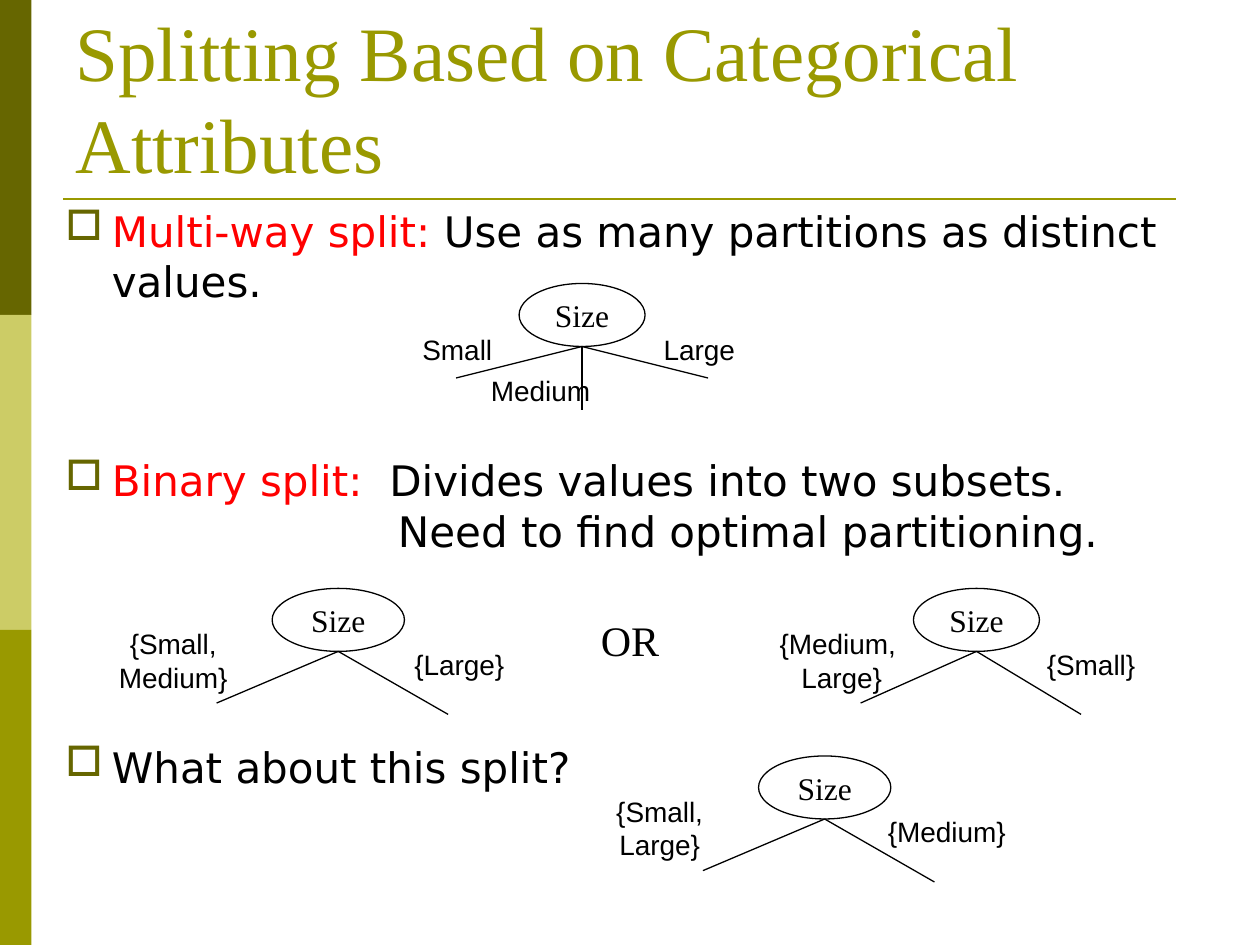
import pptx
import pptx.dml.color
import pptx.enum.shapes
import pptx.enum.text
import pptx.oxml.ns
import pptx.util
from lxml import etree
from pptx.util import Inches

COLORS = {
    "dark": "666600", "light": "CCCC66", "olive": "999900",
    "red": "FF0000", "black": "000000", "white": "FFFFFF",
}
SERIF, SANS, BODY = "Times New Roman", "Arial", "DejaVu Sans"
SYMBOLS, HOLLOW_SQUARE = "Wingdings", "o"
SHAPES = pptx.enum.shapes.MSO_SHAPE
ALIGN = pptx.enum.text.PP_ALIGN
ANCHOR = pptx.enum.text.MSO_ANCHOR


def rgb(name):
    return pptx.dml.color.RGBColor.from_string(COLORS[name])


def add_span(para, text, font, size, color):
    span = para.add_run()
    span.text = text
    span.font.name = font
    span.font.size = pptx.util.Pt(size)
    span.font.color.rgb = rgb(color)
    return span


def add_line(shapes, start, end, color="black", width=0.75):
    line = shapes.add_connector(
        pptx.enum.shapes.MSO_CONNECTOR.STRAIGHT,
        *(Inches(value) for value in (*start, *end)))
    line.line.color.rgb = rgb(color)
    line.line.width = pptx.util.Pt(width)
    etree.SubElement(line._element.spPr, pptx.oxml.ns.qn("a:effectLst"))


def add_filled(shapes, kind, box, fill):
    shape = shapes.add_shape(kind, *(Inches(value) for value in box))
    shape.shadow.inherit = False
    shape.fill.solid()
    shape.fill.fore_color.rgb = rgb(fill)
    return shape


def add_label(shapes, center, size, text, font=SANS, points=16):
    """Centre a text box of the given size on a point; newlines break lines."""
    (x, y), (width, height) = center, size
    box = shapes.add_textbox(Inches(x - width / 2), Inches(y - height / 2),
                             Inches(width), Inches(height))
    frame = box.text_frame
    frame.word_wrap = False
    frame.vertical_anchor = ANCHOR.MIDDLE
    para = frame.paragraphs[0]
    para.alignment = ALIGN.CENTER
    for index, part in enumerate(text.split("\n")):
        if index:
            para.add_line_break()
        add_span(para, part, font, points, "black")


def add_sidebar(slide, left, top, width, height):
    bands = ("dark", "light", "olive")
    step = height / len(bands)
    for index, color in enumerate(bands):
        band = add_filled(slide.shapes, SHAPES.RECTANGLE,
                          (left, top + index * step, width, step), color)
        band.line.fill.background()


def add_title(slide, left, top, width, height):
    title = slide.shapes.title
    title.left, title.top = Inches(left), Inches(top)
    title.width, title.height = Inches(width), Inches(height)
    frame = title.text_frame
    frame.auto_size = pptx.enum.text.MSO_AUTO_SIZE.NONE
    frame.vertical_anchor = ANCHOR.BOTTOM
    para = frame.paragraphs[0]
    para.alignment = ALIGN.LEFT
    add_span(para, "Splitting Based on Categorical Attributes", SERIF, 44, "olive")
    add_line(slide.shapes, (left, top + height + 0.03),
             (left + 8.83, top + height + 0.03), "olive", 1.5)


def set_indent(para, left, bulleted):
    props = para._p.get_or_add_pPr()
    props.set("marL", str(Inches(left)))
    if bulleted:
        qn = pptx.oxml.ns.qn
        props.set("indent", str(-Inches(left)))
        color = etree.SubElement(props, qn("a:buClr"))
        etree.SubElement(color, qn("a:srgbClr"), val=COLORS["dark"])
        etree.SubElement(props, qn("a:buFont"), typeface=SYMBOLS, charset="2")
        etree.SubElement(props, qn("a:buChar"), char=HOLLOW_SQUARE)


def add_body(slide, left, top, width, height):
    frame = slide.shapes.add_textbox(
        Inches(left), Inches(top), Inches(width), Inches(height)).text_frame
    frame.word_wrap = True
    # Space before, left indent, bulleted, coloured parts
    rows = [
        (0, 0.37, True, [("Multi-way split:", "red"),
                         (" Use as many partitions as distinct values.", "black")]),
        (85, 0.37, True, [("Binary split:", "red"), (" ", "black"),
                          ("Divides values into two subsets.", "black")]),
        (0, 2.64, False, [("Need to find optimal partitioning.", "black")]),
        (106, 0.37, True, [("What about this split?", "black")]),
    ]
    for index, (before, indent, bulleted, parts) in enumerate(rows):
        para = frame.add_paragraph() if index else frame.paragraphs[0]
        para.space_before = pptx.util.Pt(before)
        set_indent(para, indent, bulleted)
        for text, color in parts:
            span = add_span(para, text, BODY, 24, color)
            if text == " ":  # widen the gap after the heading
                span._r.get_or_add_rPr().set("spc", "760")


def add_tree(slide, left, top, width, ends, labels):
    """Draw a Size node with branches and labels placed from its lower middle."""
    shapes = slide.shapes.add_group_shape().shapes
    height = 0.5
    node = add_filled(shapes, SHAPES.OVAL, (left, top, width, height), "white")
    node.line.color.rgb = rgb("black")
    node.line.width = pptx.util.Pt(0.75)
    node.text_frame.vertical_anchor = ANCHOR.MIDDLE
    para = node.text_frame.paragraphs[0]
    para.alignment = ALIGN.CENTER
    add_span(para, "Size", SERIF, 18, "black")
    x, y = left + width / 2, top + height
    for dx, dy in ends:
        add_line(shapes, (x, y), (x + dx, y + dy))
    for text, dx, dy, label_width in labels:
        label_height = 0.64 if "\n" in text else 0.37
        add_label(shapes, (x + dx, y + dy), (label_width, label_height), text)


def add_binary_tree(slide, left, top, width, first, second):
    """Each label is its text, offset from the node's middle, and width."""
    ends = [(-0.92 * width, 0.41), (0.83 * width, 0.5)]
    labels = [(first[0], first[1], 0.07, first[2]),
              (second[0], second[1], 0.1, second[2])]
    add_tree(slide, left, top, width, ends, labels)


def main():
    deck = pptx.Presentation()
    deck.slide_width, deck.slide_height = Inches(10), Inches(7.5)
    slide = deck.slides.add_slide(deck.slide_layouts[5])
    add_sidebar(slide, 0, 0, 0.25, 7.5)
    add_body(slide, 0.42, 1.58, 9.17, 5.75)
    add_title(slide, 0.5, 0.3, 9, 1.25)
    add_tree(slide, 4.12, 2.25, 1, [(-1, 0.25), (0, 0.5), (1, 0.25)],
             [("Small", -0.99, 0.02, 0.76), ("Medium", -0.33, 0.35, 0.99),
              ("Large", 0.93, 0.02, 0.77)])
    add_binary_tree(slide, 7.25, 4.67, 1,
                    ("{Medium, \nLarge}", -1.07, 1.19), ("{Small}", 0.91, 0.9))
    add_binary_tree(slide, 2.16, 4.67, 1.05,
                    ("{Small,\nMedium}", -1.31, 1.09), ("{Large}", 0.96, 0.92))
    add_label(slide.shapes, (5, 5.08), (0.66, 0.5), "OR", SERIF, 24)
    add_binary_tree(slide, 6.02, 6, 1.05,
                    ("{Small,\nLarge}", -1.31, 1.09), ("{Medium}", 0.97, 1.14))
    deck.save("out.pptx")


if __name__ == "__main__":
    main()
